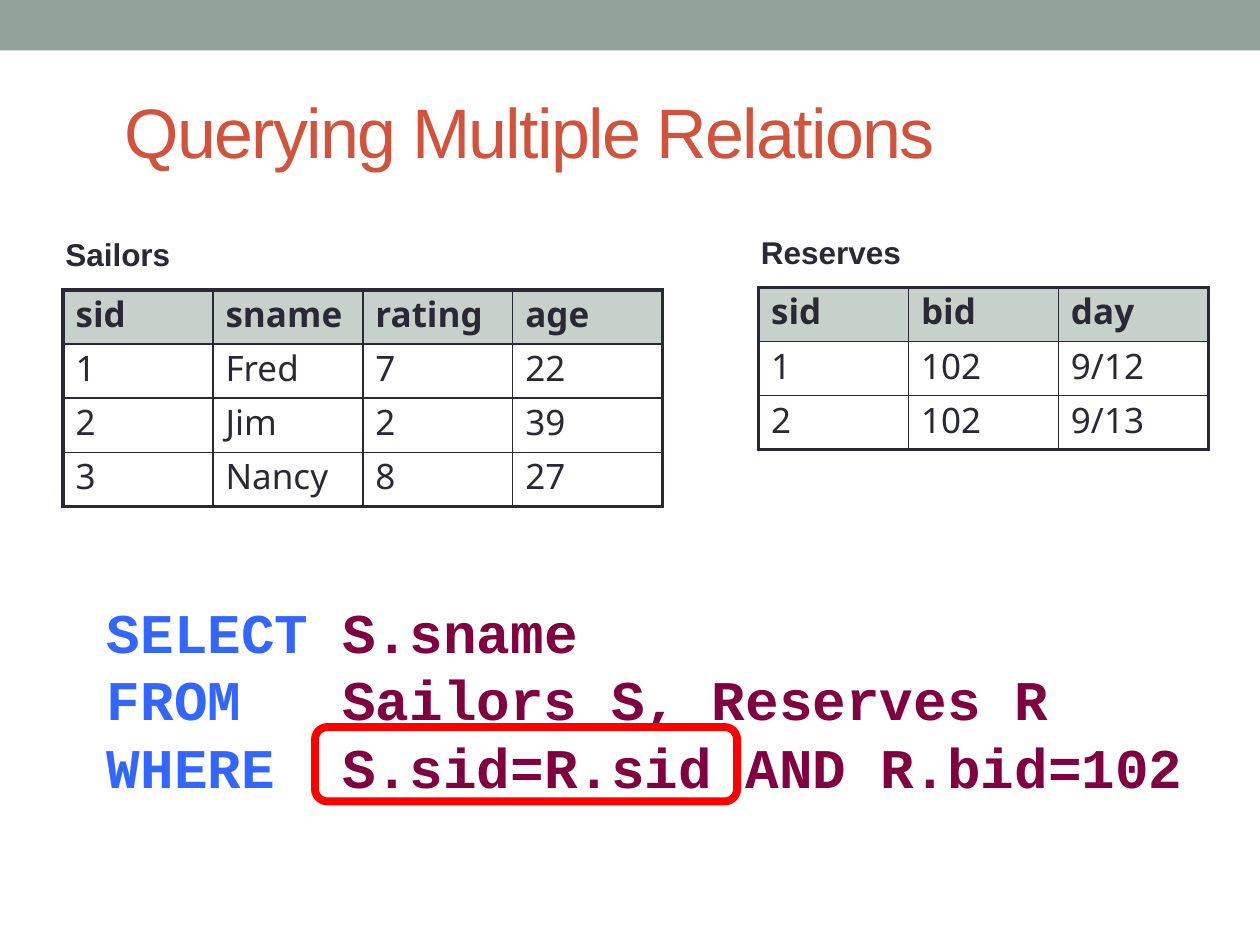
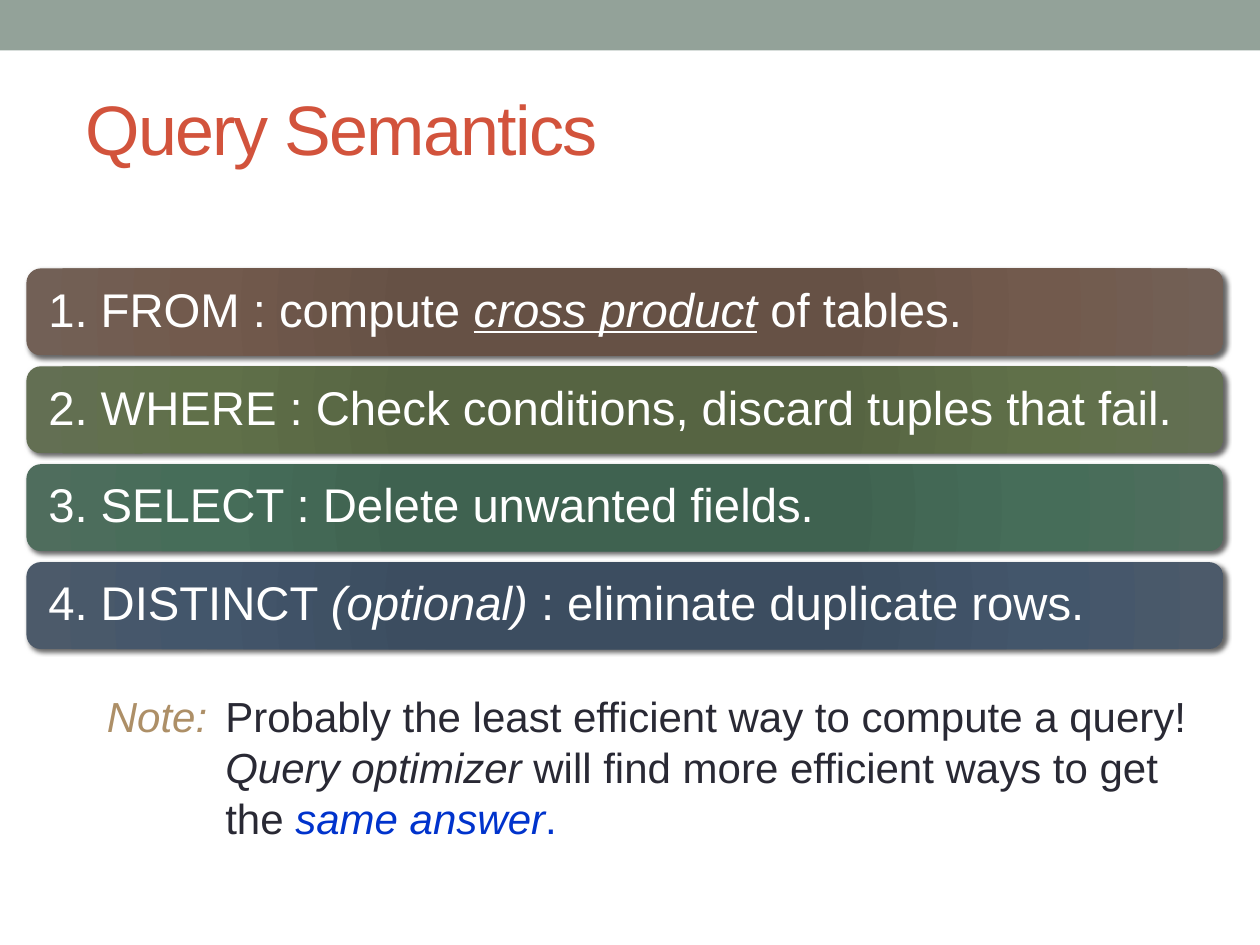
from lxml.etree import SubElement
from pptx import Presentation
from pptx.dml.color import RGBColor
from pptx.enum.shapes import MSO_SHAPE as Shape
from pptx.enum.text import MSO_ANCHOR as Anchor
from pptx.oxml import parse_xml
from pptx.oxml.ns import nsdecls, qn
from pptx.util import Inches, Pt

# Shared look
SAGE, RUST, INK, WHITE = "93A299", "D2533C", "292934", "FFFFFF"
KEYWORD, OPERAND, HIGHLIGHT = "3366FF", "800040", "FF0000"
TAN, LINK_BLUE = "AD8F67", "0033CC"
SANS, MONO, TABLE_FONT = "Arial", "Courier New", "Noto Sans"
OUTER, INNER = 2.25, 1
COLUMN_WIDTH, ROW_HEIGHT = 1.19, 0.43


def rgb(color):
    return RGBColor.from_string(color)


def box(left, top, width, height):
    return [Inches(length) for length in (left, top, width, height)]


def add_run(paragraph, text, size, color, font=SANS, bold=False, italic=False,
            underline=False):
    run = paragraph.add_run()
    run.text = text
    style = run.font
    style.name, style.size = font, Pt(size)
    style.color.rgb = rgb(color)
    style.bold, style.italic, style.underline = bold, italic, underline
    return run


def add_text(slide, place, wrap=True):
    frame = slide.shapes.add_textbox(*box(*place)).text_frame
    frame.word_wrap = wrap
    return frame


def add_paragraphs(frame, count):
    return [frame.paragraphs[0]] + [frame.add_paragraph() for _ in range(count - 1)]


def add_shape(slide, kind, place):
    shape = slide.shapes.add_shape(kind, *box(*place))
    shape.shadow.inherit = False
    return shape


def add_titled_slide(deck, title, left, top):
    slide = deck.slides.add_slide(deck.slide_layouts[6])
    band = add_shape(slide, Shape.RECTANGLE, (0, 0, 10, 0.4))
    band.fill.solid()
    band.fill.fore_color.rgb = rgb(SAGE)
    band.line.fill.background()

    heading = add_text(slide, (left, top, 8.5, 1.25))
    heading.vertical_anchor = Anchor.MIDDLE
    run = add_run(heading.paragraphs[0], title, 40, RUST)
    run.font._element.set("spc", "-100")
    return slide


# Relations
def set_border(cell, side, width):
    cell._tc.get_or_add_tcPr().append(parse_xml(
        f'<a:ln{side} {nsdecls("a")} w="{Pt(width)}"><a:solidFill>'
        f'<a:srgbClr val="{INK}"/></a:solidFill></a:ln{side}>'))


def fill_header(cell):
    cell.fill.solid()
    cell.fill.fore_color.rgb = rgb(SAGE)
    tint = cell._tc.tcPr.find(qn("a:solidFill")).find(qn("a:srgbClr"))
    SubElement(tint, qn("a:alpha")).set("val", "50000")


def add_relation(slide, name, left, top, rows):
    label = add_text(slide, (left - 0.08, top - 0.48, 1.5, 0.5), wrap=False)
    add_run(label.paragraphs[0], name, 18, INK, bold=True)

    row_count, column_count = len(rows), len(rows[0])
    place = (left, top, COLUMN_WIDTH * column_count, ROW_HEIGHT * row_count)
    relation = slide.shapes.add_table(row_count, column_count, *box(*place)).table
    relation.first_row = relation.horz_banding = False
    for column in relation.columns:
        column.width = Inches(COLUMN_WIDTH)
    for r, values in enumerate(rows):
        for c, value in enumerate(values):
            cell = relation.cell(r, c)
            cell.margin_top = cell.margin_bottom = 0
            edges = {"L": c == 0, "R": c == column_count - 1,
                     "T": r == 0, "B": r == row_count - 1}
            for side, is_outer in edges.items():
                set_border(cell, side, OUTER if is_outer else INNER)
            if r == 0:
                fill_header(cell)
            else:
                cell.fill.background()
            paragraph = cell.text_frame.paragraphs[0]
            paragraph.space_before = Pt(4)
            add_run(paragraph, value, 20, INK, TABLE_FONT, bold=r == 0)


def add_query(slide, clauses):
    query = add_text(slide, (0.75, 4.63, 8.83, 1.72))
    query.margin_top = Inches(0.11)
    for paragraph, (keyword, operand) in zip(
            add_paragraphs(query, len(clauses)), clauses):
        paragraph.line_spacing = Pt(38.5)
        add_run(paragraph, keyword, 32, KEYWORD, MONO, bold=True)
        add_run(paragraph, operand, 32, OPERAND, MONO, bold=True)


def add_highlight(slide, place):
    frame = add_shape(slide, Shape.FLOWCHART_ALTERNATE_PROCESS, place)
    frame.fill.background()
    frame.line.color.rgb = rgb(HIGHLIGHT)
    frame.line.width = Pt(4.5)


# Evaluation steps
def add_step(slide, top, shades, runs):
    bar = add_shape(slide, Shape.ROUNDED_RECTANGLE, (0.21, top, 9.5, 0.69))
    bar.line.fill.background()
    stops = "".join(
        f'<a:gs pos="{position}000"><a:srgbClr val="{shade}"/></a:gs>'
        for position, shade in zip((0, 34, 70, 100), shades))
    gradient = parse_xml(
        f'<a:gradFill {nsdecls("a")} rotWithShape="1"><a:gsLst>{stops}</a:gsLst>'
        '<a:path path="circle"><a:fillToRect l="100000" t="100000" r="100000" '
        'b="100000"/></a:path></a:gradFill>')
    properties = bar._element.spPr
    properties.find(qn("a:prstGeom")).addnext(gradient)
    properties.find(qn("a:effectLst")).append(parse_xml(
        f'<a:outerShdw {nsdecls("a")} blurRad="{Pt(3)}" dist="{Pt(2)}" '
        'dir="2700000" rotWithShape="0"><a:srgbClr val="000000">'
        '<a:alpha val="60000"/></a:srgbClr></a:outerShdw>'))

    frame = bar.text_frame
    frame.word_wrap = True
    frame.vertical_anchor = Anchor.MIDDLE
    frame.margin_left = frame.margin_right = Inches(0.14)
    paragraph = frame.paragraphs[0]
    paragraph.alignment = 1
    paragraph.line_spacing = 0.9
    for text, style in runs:
        add_run(paragraph, text, 27, WHITE, **style)


def add_note(slide):
    note = add_text(slide, (0.75, 5.43, 8.96, 1.31))
    opening, remedy = add_paragraphs(note, 2)
    for paragraph, indent in ((opening, -0.94), (remedy, 0)):
        paragraph.line_spacing = Pt(29)
        layout = paragraph._p.get_or_add_pPr()
        layout.set("marL", str(Inches(0.94)))
        layout.set("indent", str(Inches(indent)))
    add_run(opening, "Note: \t", 24, TAN, italic=True)
    add_run(opening, "Probably the least efficient way to compute a query!", 24, INK)
    add_run(remedy, "Query optimizer", 24, INK, italic=True)
    add_run(remedy, " will find more efficient ways to get the ", 24, INK)
    add_run(remedy, "same answer", 24, LINK_BLUE, italic=True)
    add_run(remedy, ".", 24, LINK_BLUE)


SAILORS = [("sid", "sname", "rating", "age"), ("1", "Fred", "7", "22"),
           ("2", "Jim", "2", "39"), ("3", "Nancy", "8", "27")]
RESERVES = [("sid", "bid", "day"), ("1", "102", "9/12"), ("2", "102", "9/13")]
CLAUSES = [("SELECT ", "S.sname"),
           ("FROM", "   Sailors S, Reserves R"),
           ("WHERE  ", "S.sid=R.sid AND R.bid=102")]
STEPS = [
    (("685044", "665145", "725A4D", "726056"),
     [("1. FROM : compute ", {}),
      ("cross product", {"italic": True, "underline": True}),
      (" of tables.", {})]),
    (("566641", "566442", "607049", "636F53"),
     [("2. WHERE : Check conditions, discard tuples that fail.", {})]),
    (("3E6350", "3F6250", "466D59", "4F6D5D"),
     [("3. SELECT : Delete unwanted fields.", {})]),
    (("3B4D61", "3C4D60", "43566B", "4C5A6A"),
     [("4. DISTINCT ", {}), ("(optional)", {"italic": True}),
      (" : eliminate duplicate rows.", {})]),
]


def main():
    deck = Presentation()
    deck.slide_width, deck.slide_height = Inches(10), Inches(7.5)

    # Join of two relations
    relations = add_titled_slide(deck, " Querying Multiple Relations", 0.75, 0.41)
    add_query(relations, CLAUSES)
    add_relation(relations, "Sailors", 0.5, 2.3, SAILORS)
    add_relation(relations, "Reserves", 6.02, 2.28, RESERVES)
    add_highlight(relations, (2.5, 5.77, 3.35, 0.59))

    # Order of evaluation
    semantics = add_titled_slide(deck, "Query Semantics", 0.58, 0.39)
    for index, (shades, runs) in enumerate(STEPS):
        add_step(semantics, 2.13 + 0.777 * index, shades, runs)
    add_note(semantics)

    deck.save("out.pptx")


if __name__ == "__main__":
    main()
